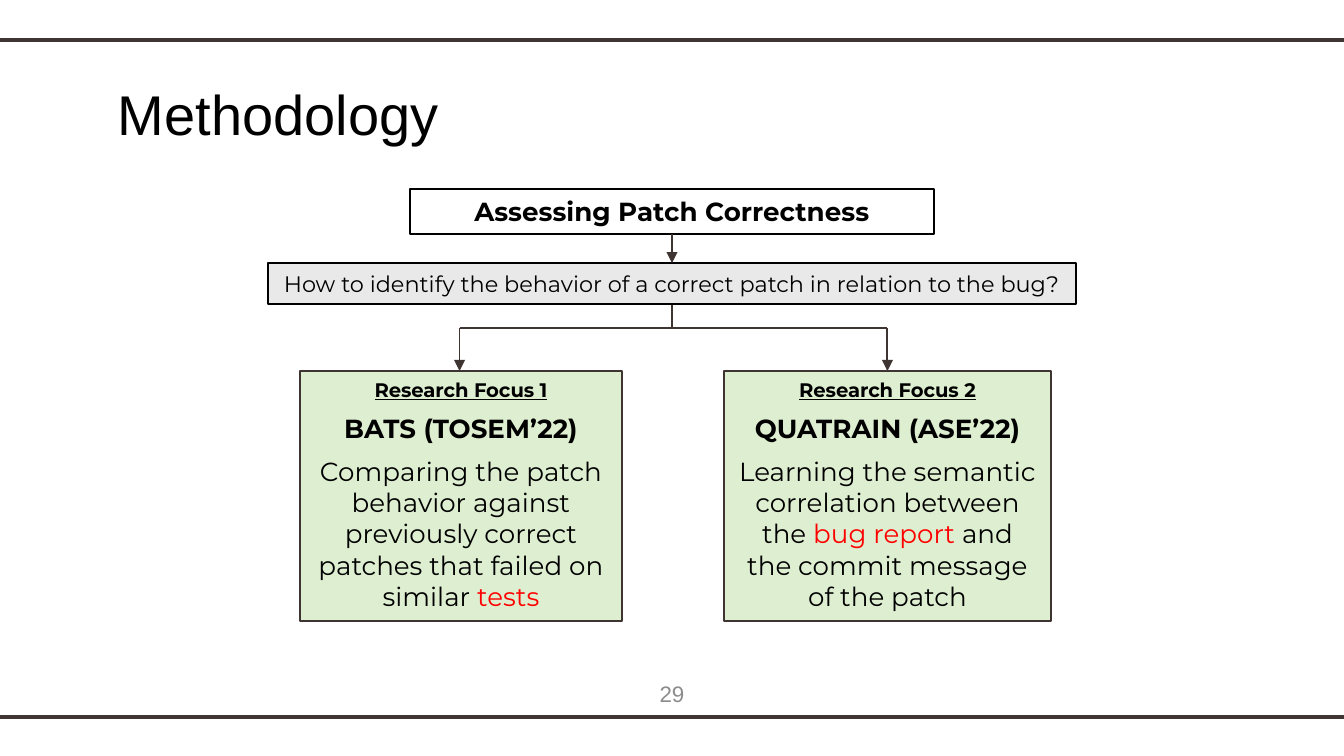
from lxml.etree import SubElement
from pptx import Presentation
from pptx.dml.color import RGBColor
from pptx.enum.shapes import MSO_CONNECTOR, MSO_SHAPE
from pptx.enum.text import MSO_ANCHOR, MSO_AUTO_SIZE, PP_ALIGN
from pptx.oxml.ns import qn
from pptx.util import Pt

BLACK = RGBColor(0x00, 0x00, 0x00)
RED = RGBColor(0xFF, 0x00, 0x00)
GRAY = RGBColor(0x8C, 0x8C, 0x8C)
DARK_GRAY = RGBColor(0x59, 0x59, 0x59)
GREEN = RGBColor(0x5C, 0xAA, 0x16)
RULE = RGBColor(0x3F, 0x35, 0x33)
BROWN = RGBColor(0x3E, 0x34, 0x32)

TITLE = {"name": "Arial", "size": Pt(30)}
NUMBER = {"name": "Arial", "size": Pt(12)}
QUESTION = {"name": "Montserrat", "size": Pt(12)}
BODY = {"name": "Montserrat", "size": Pt(14)}
HEADING = {**BODY, "bold": True}
FOCUS = {**HEADING, "size": Pt(10.5), "underline": True}


def write_paragraph(p, runs, align=PP_ALIGN.CENTER, before=0):
    """Fill a paragraph with (text, format, colour) runs."""
    p.alignment = align
    p.space_before = Pt(before)
    for text, fmt, color in runs:
        r = p.add_run()
        r.text = text
        for name, value in fmt.items():
            setattr(r.font, name, value)
        r.font.color.rgb = color


def set_frame(tf, anchor=MSO_ANCHOR.TOP, inset=(7.2, 3.6)):
    """Set wrapping, anchor and (side, top and bottom) insets of a text frame."""
    values = {
        "word_wrap": True,
        "auto_size": MSO_AUTO_SIZE.NONE,
        "vertical_anchor": anchor,
        "margin_left": Pt(inset[0]),
        "margin_right": Pt(inset[0]),
        "margin_top": Pt(inset[1]),
        "margin_bottom": Pt(inset[1]),
    }
    for name, value in values.items():
        setattr(tf, name, value)


def add_title(s, text):
    """Place and format the title placeholder."""
    sp = s.shapes.title
    sp.left, sp.top, sp.width, sp.height = Pt(56), Pt(35.3), Pt(608), Pt(45.4)
    set_frame(sp.text_frame, inset=(7.2, 7.2))
    write_paragraph(sp.text_frame.paragraphs[0], [(text, TITLE, BLACK)], PP_ALIGN.LEFT)


def add_page_number(s, text):
    """Add the centred page number above the bottom rule."""
    sp = s.shapes.add_textbox(Pt(279), Pt(361), Pt(162), Pt(21.6))
    set_frame(sp.text_frame, MSO_ANCHOR.MIDDLE)
    write_paragraph(sp.text_frame.paragraphs[0], [(text, NUMBER, GRAY)])


def add_box(s, box, paragraphs, line, fill=None, opacity=100):
    """Add an outlined box with centred paragraphs and an optional tint."""
    sp = s.shapes.add_shape(MSO_SHAPE.RECTANGLE, *map(Pt, box))
    sp.shadow.inherit = False
    sp.line.color.rgb = line
    sp.line.width = Pt(1)
    if fill is None:
        sp.fill.background()
    else:
        sp.fill.solid()
        sp.fill.fore_color.rgb = fill
        color = sp.fill._xPr.find(qn("a:solidFill"))[0]
        SubElement(color, qn("a:alpha"), val=str(opacity * 1000))
    tf = sp.text_frame
    set_frame(tf)
    for i, runs in enumerate(paragraphs):
        p = tf.add_paragraph() if i else tf.paragraphs[0]
        write_paragraph(p, runs, before=6 if i else 0)


def add_focus(s, box, number, name, summary):
    """Add a green research focus box."""
    paragraphs = [
        [(f"Research Focus {number}", FOCUS, BLACK)],
        [(name, HEADING, BLACK)],
        [(text, BODY, color) for text, color in summary],
    ]
    add_box(s, box, paragraphs, BROWN, GREEN, 20)


def add_line(s, start, end, color=BROWN, width=1, arrow=False):
    """Add a straight line, with an arrowhead at its end if asked."""
    cx = s.shapes.add_connector(MSO_CONNECTOR.STRAIGHT, *map(Pt, (*start, *end)))
    cx.line.color.rgb = color
    cx.line.width = Pt(width)
    if arrow:
        SubElement(cx.line._get_or_add_ln(), qn("a:tailEnd"), type="triangle")
    SubElement(cx._element.spPr, qn("a:effectLst"))


def main():
    """Build the methodology slide."""
    prs = Presentation()
    prs.slide_width, prs.slide_height = Pt(720), Pt(405)
    s = prs.slides.add_slide(prs.slide_layouts[5])

    for y in (21.5, 384):
        add_line(s, (-6, y), (726, y), RULE, 2.25)
    add_title(s, "Methodology")
    add_page_number(s, "29")

    add_box(s, (219.6, 101.2, 280.8, 24.2),
            [[("Assessing Patch Correctness", HEADING, BLACK)]], BLACK)
    add_focus(s, (160.6, 198.8, 172.8, 134), 1, "BATS (TOSEM’22)", [
        ("Comparing the patch behavior against previously correct patches "
         "that failed on similar ", BLACK),
        ("tests", RED),
    ])
    add_focus(s, (388, 198.8, 175, 134), 2, "QUATRAIN (ASE’22)", [
        ("Learning the semantic correlation between the ", BLACK),
        ("bug report ", RED),
        ("and the commit message of the patch", BLACK),
    ])

    center, branches, fork = 360, (246.2, 475.4), 175.7
    for x in branches:
        add_line(s, (x, fork), (x, 198.8), arrow=True)
    add_line(s, (branches[0], fork), (branches[1], fork))
    add_line(s, (center, 162.7), (center, fork), width=0.75)
    question = "How to identify the behavior of a correct patch in relation to the bug?"
    add_box(s, (143.6, 141, 432.8, 21.7), [[(question, QUESTION, BLACK)]],
            BLACK, DARK_GRAY, 13)
    add_line(s, (center, 125.4), (center, 141), width=0.75, arrow=True)

    prs.save("out.pptx")


if __name__ == "__main__":
    main()
